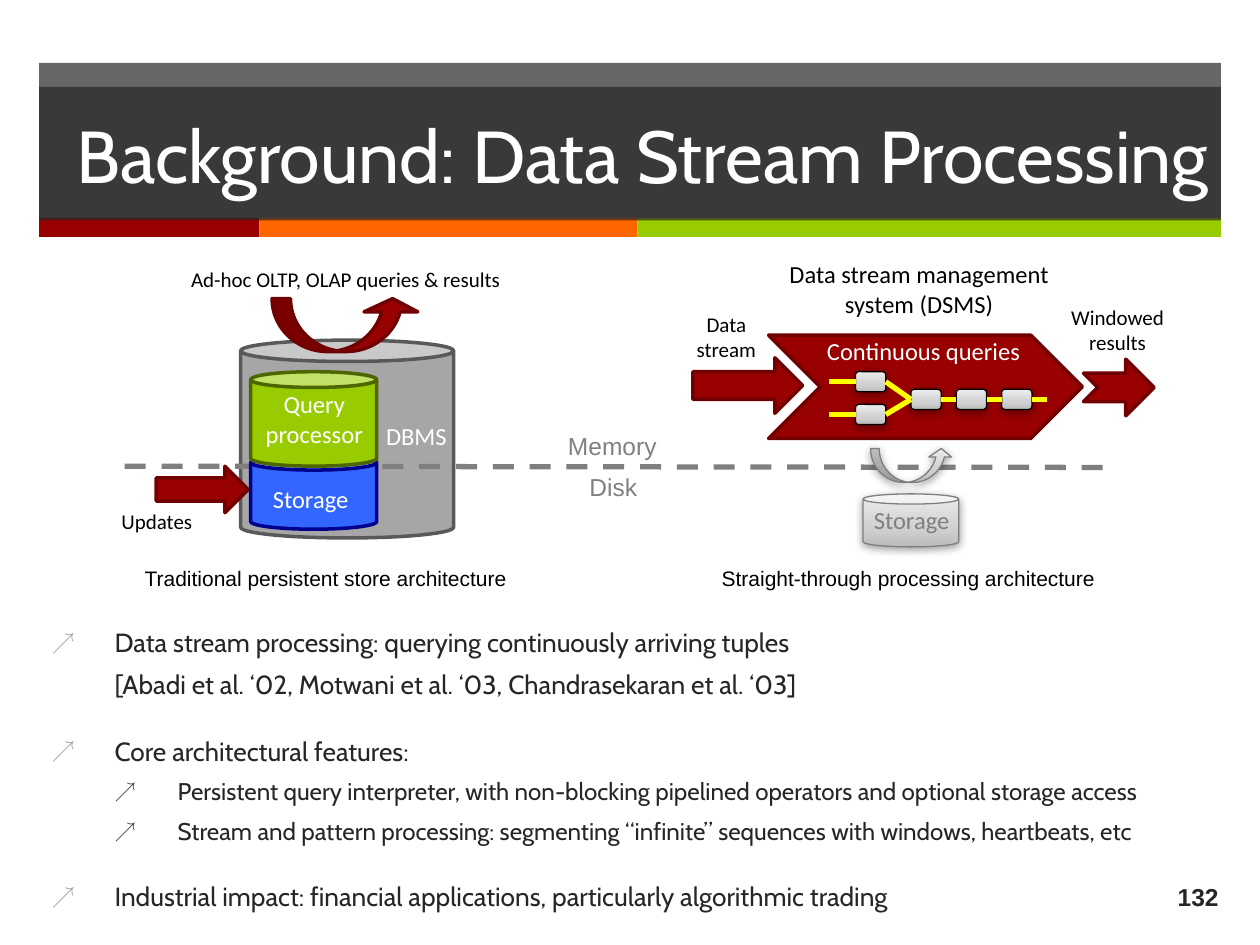
from copy import deepcopy
from dataclasses import dataclass

from lxml.etree import SubElement
from pptx import Presentation
from pptx.dml.color import RGBColor
from pptx.enum.dml import MSO_LINE
from pptx.enum.shapes import MSO_CONNECTOR, MSO_SHAPE
from pptx.enum.text import MSO_ANCHOR, MSO_AUTO_SIZE, PP_ALIGN
from pptx.oxml.ns import qn
from pptx.slide import Slide
from pptx.util import Inches, Pt

COLORS = {
    "black": "000000", "white": "FFFFFF", "dark": "262626", "red": "990000",
    "red edge": "710000", "orange": "FF6600", "green": "99CC00",
    "green edge": "4D6600", "blue": "3366FF", "blue edge": "000090",
    "gray": "A6A6A6", "gray edge": "595959", "mid gray": "7F7F7F",
    "axis gray": "808080", "bullet": "404040", "yellow": "FFFF00",
}
SILVER_STOPS = [(0, "BCBCBC"), (0.35, "D0D0D0"), (1, "EDEDED")]


def rgb(name):
    return RGBColor.from_string(COLORS[name])


def write(paragraph, text, size=12, font="Calibri", color="black", bold=False,
          align=PP_ALIGN.CENTER, before=0):
    paragraph.text = text
    paragraph.alignment = align
    paragraph.space_before = Pt(before)
    paragraph.font.size = Pt(size)
    paragraph.font.name = font
    paragraph.font.bold = bold
    paragraph.font.color.rgb = rgb(color)


def fill_solid(shape, color, opacity=100):
    shape.fill.solid()
    shape.fill.fore_color.rgb = rgb(color)
    if opacity < 100:
        srgb = shape.element.spPr.find(qn("a:solidFill"))[0]
        SubElement(srgb, qn("a:alpha"), val=str(opacity * 1000))


def fill_silver(shape):
    """Gray vertical gradient with a soft shadow below the shape."""
    shape.fill.gradient()
    shape.fill.gradient_angle = 90
    stop_list = shape.element.spPr.find(".//" + qn("a:gsLst"))
    stop_list.append(deepcopy(stop_list[-1]))
    for stop, (position, color) in zip(shape.fill.gradient_stops, SILVER_STOPS):
        stop.position = position
        stop.color.rgb = RGBColor.from_string(color)
    effects = shape.element.spPr.find(qn("a:effectLst"))
    shadow = SubElement(effects, qn("a:outerShdw"), blurRad=str(Pt(5)),
                        dist=str(Pt(1.6)), dir="5400000", rotWithShape="0")
    shade = SubElement(shadow, qn("a:srgbClr"), val=COLORS["black"])
    SubElement(shade, qn("a:alpha"), val="38000")


@dataclass
class Region:
    """Part of the slide; its items are placed from its top left corner."""
    slide: Slide
    left: float
    top: float

    def place(self, x, y):
        return Inches(self.left + x), Inches(self.top + y)

    def shape(self, kind, x, y, width, height, fill, edge=None, weight=2,
              adjust=(), opacity=100):
        shape = self.slide.shapes.add_shape(
            kind, *self.place(x, y), Inches(width), Inches(height))
        for index, value in enumerate(adjust):
            shape.adjustments[index] = value
        if edge:
            shape.line.color.rgb = rgb(edge)
            shape.line.width = Pt(weight)
        else:
            shape.line.fill.background()
        shape.shadow.inherit = False
        if fill == "silver":
            fill_silver(shape)
        else:
            fill_solid(shape, fill, opacity)
        return shape

    def label(self, text, x, y, width, height, wrap=True,
              anchor=MSO_ANCHOR.TOP, **style):
        box = self.slide.shapes.add_textbox(
            *self.place(x, y), Inches(width), Inches(height))
        box.text_frame.word_wrap = wrap
        box.text_frame.vertical_anchor = anchor
        write(box.text_frame.paragraphs[0], text, **style)

    def line(self, start, end, color):
        line = self.slide.shapes.add_connector(
            MSO_CONNECTOR.STRAIGHT, *self.place(*start), *self.place(*end))
        line.line.color.rgb = rgb(color)
        line.line.width = Pt(3)
        SubElement(line.element.spPr, qn("a:effectLst"))
        return line


def move(placeholder, region, width, height, anchor):
    placeholder.left, placeholder.top = region.place(0, 0)
    placeholder.width, placeholder.height = Inches(width), Inches(height)
    placeholder.text_frame.auto_size = MSO_AUTO_SIZE.NONE
    placeholder.text_frame.vertical_anchor = anchor


def draw_header(slide, left, top, width):
    header = Region(slide, left, top)
    header.shape(MSO_SHAPE.RECTANGLE, 0, 0, width, 1.24, "dark", opacity=70)
    x = 0
    for color, end in (("red", 1.75), ("orange", 4.75), ("green", width)):
        header.shape(MSO_SHAPE.RECTANGLE, x, 1.23, end - x, 0.15, color)
        x = end
    title = slide.shapes.title
    move(title, Region(slide, left, top + 0.19), width, 1.06, MSO_ANCHOR.MIDDLE)
    fill_solid(title, "dark", opacity=70)
    write(title.text_frame.paragraphs[0], "Background: Data Stream Processing",
          size=42, font="Cabin", color="white", align=PP_ALIGN.RIGHT)
    slide.shapes.element.append(title.element)


def draw_divider(slide, left, top):
    """Dashed border between memory and disk."""
    divider = Region(slide, left, top)
    divider.line((0, 0), (7.84, 0.01), "mid gray").line.dash_style = MSO_LINE.DASH
    style = dict(wrap=False, size=14, font="Arial", color="axis gray",
                 align=PP_ALIGN.LEFT)
    divider.label("Memory", 3.42, -0.33, 0.93, 0.34, **style)
    divider.label("Disk", 3.59, 0, 0.59, 0.34, **style)


def draw_persistent_store(slide, left, top):
    store = Region(slide, left, top)
    store.shape(MSO_SHAPE.CAN, 1.11, 0.7, 1.69, 1.57, "gray", "gray edge",
                adjust=[0.108])
    draw_divider(slide, left + 0.19, top + 1.7)
    store.shape(MSO_SHAPE.CAN, 1.19, 1.61, 1, 0.59, "blue", "blue edge",
                adjust=[0.205])
    store.shape(MSO_SHAPE.CAN, 1.19, 0.95, 1, 0.75, "green", "green edge",
                adjust=[0.167])
    store.shape(MSO_SHAPE.RIGHT_ARROW, 0.44, 1.7, 0.73, 0.37, "red", "red edge")
    store.shape(MSO_SHAPE.CURVED_UP_ARROW, 1.36, 0.37, 1.17, 0.42, "red",
                "red edge", adjust=[0.348, 1.015, 0.25])
    store.label("Updates", 0.03, 1.99, 0.83, 0.3)
    store.label("Ad-hoc OLTP, OLAP queries & results", 0.53, 0.07, 2.83, 0.3)
    inside = dict(size=14, color="white")
    store.label("Query processor", 1.11, 1.04, 1.17, 0.57, **inside)
    store.label("DBMS", 2.06, 1.29, 0.89, 0.34, **inside)
    store.label("Storage", 1.22, 1.79, 0.89, 0.34, **inside)
    store.label("Traditional persistent store architecture", 0.25, 2.44, 3.1, 0.3,
                wrap=False, font="Arial", align=PP_ALIGN.LEFT)


def draw_operators(slide, left, top):
    """Two source operators merging into a chain of three."""
    plan = Region(slide, left, top)
    upper, lower, merge, middle, last = [
        plan.shape(MSO_SHAPE.ROUNDED_RECTANGLE, x, y, 0.24, 0.16, "silver",
                   "black", weight=0.75)
        for x, y in ((0.21, 0), (0.21, 0.26), (0.65, 0.14), (1.01, 0.14),
                     (1.37, 0.14))]
    for source, y in ((upper, 0.08), (lower, 0.34)):
        plan.line((0, y), (0.21, y), "yellow").end_connect(source, 1)
    for source, target in ((lower, merge), (upper, merge), (merge, middle),
                           (middle, last)):
        flow = plan.line((0, 0), (0.1, 0), "yellow")
        flow.begin_connect(source, 3)
        flow.end_connect(target, 1)
    plan.line((1.61, 0.22), (1.73, 0.22), "yellow").begin_connect(last, 3)


def draw_stream_system(slide, left, top):
    stream = Region(slide, left, top)
    stream.shape(MSO_SHAPE.CAN, 1.55, 1.92, 0.76, 0.42, "silver", "mid gray",
                 weight=0.75, adjust=[0.193])
    for kind, *box in ((MSO_SHAPE.CHEVRON, 0.8, 0.66, 2.49, 0.82),
                       (MSO_SHAPE.RIGHT_ARROW, 0.2, 0.84, 0.87, 0.44),
                       (MSO_SHAPE.NOTCHED_RIGHT_ARROW, 3.3, 0.85, 0.56, 0.45)):
        stream.shape(kind, *box, "red", "red edge")
    stream.shape(MSO_SHAPE.CURVED_UP_ARROW, 1.61, 1.56, 0.65, 0.27, "silver",
                 "mid gray", weight=0.75, adjust=[0.25, 0.663, 0.25])
    stream.label("Data stream", 0.05, 0.42, 0.83, 0.51)
    stream.label("Windowed results", 3.03, 0.37, 1.08, 0.5)
    stream.label("Continuous queries", 0.89, 0.62, 2.28, 0.34, size=14,
                 color="white")
    stream.label("Storage", 1.49, 1.96, 0.89, 0.34, size=14, color="mid gray")
    stream.label("Data stream management system (DSMS)", 0.83, 0.01, 2.33, 0.57,
                 size=14)
    stream.label("Straight-through processing architecture", 0.33, 2.44, 3.2, 0.3,
                 wrap=False, font="Arial", align=PP_ALIGN.LEFT)
    draw_operators(slide, left + 1.28, top + 0.95)


def set_bullet(paragraph, margin, color):
    """Arrow bullet in the given colour, or none when there is no colour."""
    props = paragraph._p.get_or_add_pPr()
    props.set("marL", str(Inches(margin)))
    props.set("indent", str(Inches(-0.5 if color else 0)))
    if not color:
        SubElement(props, qn("a:buNone"))
        return
    SubElement(SubElement(props, qn("a:buClr")), qn("a:srgbClr"), val=COLORS[color])
    SubElement(props, qn("a:buSzPct"), val="90000")
    SubElement(props, qn("a:buChar"), char="↗")


def draw_points(slide, left, top):
    points = [
        (0, "gray", 0, "Data stream processing: querying continuously arriving tuples"),
        (0, None, 6, "[Abadi et al. ‘02, Motwani et al. ‘03, Chandrasekaran et al. ‘03]"),
        (0, "gray", 20, "Core architectural features:"),
        (1, "bullet", 6, "Persistent query interpreter, with non-blocking pipelined "
                         "operators and optional storage access"),
        (1, "bullet", 6, "Stream and pattern processing: segmenting “infinite” "
                         "sequences with windows, heartbeats, etc"),
        (0, "gray", 20, "Industrial impact: financial applications, particularly "
                        "algorithmic trading"),
    ]
    body = slide.placeholders[1]
    move(body, Region(slide, left, top), 9.38, 2.33, MSO_ANCHOR.TOP)
    for index, (level, bullet, before, text) in enumerate(points):
        frame = body.text_frame
        paragraph = frame.add_paragraph() if index else frame.paragraphs[0]
        paragraph.level = level
        set_bullet(paragraph, 0.5 + 0.5 * level, bullet)
        write(paragraph, text, size=13.8 if level else 15, font="Cabin",
              color="dark", align=PP_ALIGN.LEFT, before=before)


def main():
    deck = Presentation()
    deck.slide_width, deck.slide_height = Inches(10), Inches(7.5)
    slide = deck.slides.add_slide(deck.slide_layouts[1])
    draw_header(slide, 0.31, 0.5, 9.38)
    draw_persistent_store(slide, 0.8, 2)
    draw_stream_system(slide, 5.3, 2)
    draw_points(slide, 0.31, 4.92)
    Region(slide, 9.08, 6.92).label(
        "132", 0, 0, 0.69, 0.39, anchor=MSO_ANCHOR.MIDDLE, size=14, font="Arial",
        color="dark", bold=True, align=PP_ALIGN.RIGHT)
    deck.save("out.pptx")


if __name__ == "__main__":
    main()
